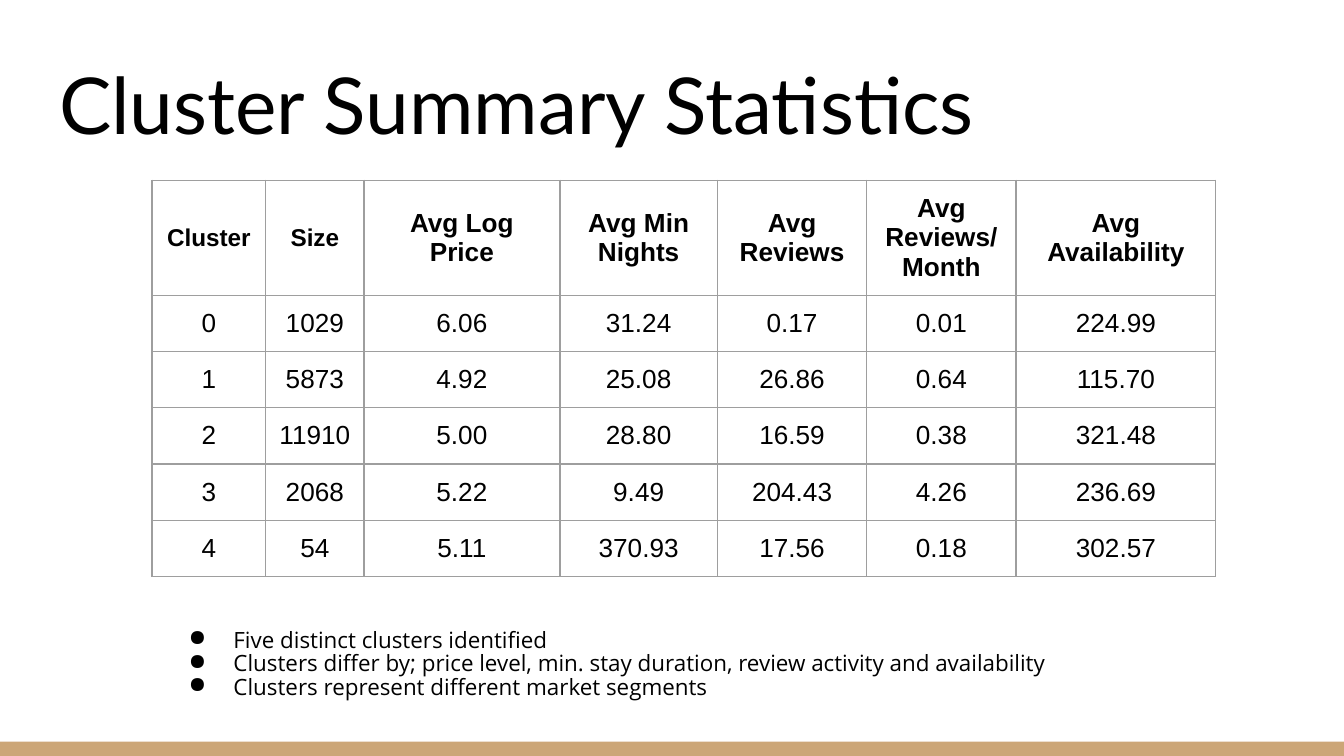
from lxml.etree import SubElement
from pptx import Presentation
from pptx.dml.color import RGBColor
from pptx.enum.shapes import MSO_SHAPE
from pptx.enum.text import MSO_ANCHOR, MSO_AUTO_SIZE, PP_ALIGN
from pptx.oxml.ns import qn
from pptx.util import Pt

BLACK = RGBColor(0x00, 0x00, 0x00)
GRAY = RGBColor(0x9E, 0x9E, 0x9E)
TAN = RGBColor(0xCC, 0xA6, 0x77)

WIDE, HIGH = 720, 405
PAD = 7.2
COLS = [61, 52.6, 105, 84.4, 80, 80, 107]
HEADS = ["Cluster", "Size", "Avg Log Price", "Avg Min Nights",
         "Avg Reviews", "Avg Reviews/Month", "Avg Availability"]
STATS = [
    ["0", "1029", "6.06", "31.24", "0.17", "0.01", "224.99"],
    ["1", "5873", "4.92", "25.08", "26.86", "0.64", "115.70"],
    ["2", "11910", "5.00", "28.80", "16.59", "0.38", "321.48"],
    ["3", "2068", "5.22", "9.49", "204.43", "4.26", "236.69"],
    ["4", "54", "5.11", "370.93", "17.56", "0.18", "302.57"],
]
NOTES = [
    "Five distinct clusters identified",
    "Clusters differ by; price level, min. stay duration, review activity and availability",
    "Clusters represent different market segments",
]


class Deck:
    def __init__(self, slide):
        self.slide = slide
        self.head = "Lato"
        self.grid = "Arial"
        self.body = "Open Sans"
        self.ink = BLACK

    def style(self, para, name, size, bold=False):
        font = para.font
        font.name, font.size, font.bold = name, Pt(size), bold
        font.color.rgb = self.ink

    def inset(self, box):
        box.margin_left = box.margin_right = Pt(PAD)
        box.margin_top = box.margin_bottom = Pt(PAD)

    def bar(self, x, y, w, h, fill):
        shape = self.slide.shapes.add_shape(
            MSO_SHAPE.RECTANGLE, Pt(x), Pt(y), Pt(w), Pt(h))
        shape.shadow.inherit = False
        shape.fill.solid()
        shape.fill.fore_color.rgb = fill
        shape.line.fill.background()

    def title(self, text, x, y, w, h):
        shape = self.slide.shapes.title
        shape.left, shape.top, shape.width, shape.height = Pt(x), Pt(y), Pt(w), Pt(h)
        frame = shape.text_frame
        frame.text = text
        frame.auto_size = MSO_AUTO_SIZE.NONE
        frame.vertical_anchor = MSO_ANCHOR.BOTTOM
        self.inset(frame)
        para = frame.paragraphs[0]
        para.alignment = PP_ALIGN.LEFT
        self.style(para, self.head, 42)

    def edges(self, cell, color, width):
        props = cell._tc.get_or_add_tcPr()
        for spot, side in enumerate(("a:lnL", "a:lnR", "a:lnT", "a:lnB")):
            line = props.makeelement(qn(side), {"w": str(Pt(width))})
            fill = SubElement(line, qn("a:solidFill"))
            SubElement(fill, qn("a:srgbClr"), val=str(color))
            props.insert(spot, line)

    def cell(self, cell, text, size, bold, anchor):
        cell.text = text
        cell.fill.background()
        cell.vertical_anchor = anchor
        self.inset(cell)
        self.edges(cell, GRAY, 0.75)
        para = cell.text_frame.paragraphs[0]
        para.alignment = PP_ALIGN.CENTER
        self.style(para, self.grid, size, bold)

    def table(self, heads, rows, x, y, cols, high):
        count = len(rows) + 1
        table = self.slide.shapes.add_table(
            count, len(cols), Pt(x), Pt(y), Pt(sum(cols)), Pt(high * count)).table
        table.first_row = table.horz_banding = False
        for col, width in zip(table.columns, cols):
            col.width = Pt(width)
        for row in table.rows:
            row.height = Pt(high)
        for c, text in enumerate(heads):
            self.cell(table.cell(0, c), text, 13 if c < 2 else 14, True, MSO_ANCHOR.MIDDLE)
        for r, row in enumerate(rows, 1):
            for c, text in enumerate(row):
                self.cell(table.cell(r, c), text, 14, False, MSO_ANCHOR.TOP)

    def bullets(self, lines, x, y, w, h):
        frame = self.slide.shapes.add_textbox(Pt(x), Pt(y), Pt(w), Pt(h)).text_frame
        frame.word_wrap = True
        self.inset(frame)
        for spot, text in enumerate(lines):
            para = frame.add_paragraph() if spot else frame.paragraphs[0]
            para.text = text
            para.line_spacing = 0.88
            props = para._p.get_or_add_pPr()
            props.set("marL", str(Pt(36)))
            props.set("indent", str(Pt(-24)))
            tint = SubElement(props, qn("a:buClr"))
            SubElement(tint, qn("a:srgbClr"), val=str(self.ink))
            SubElement(props, qn("a:buChar"), char="●")
            self.style(para, self.body, 12)


def main():
    show = Presentation()
    show.slide_width, show.slide_height = Pt(WIDE), Pt(HIGH)
    deck = Deck(show.slides.add_slide(show.slide_layouts[5]))
    deck.bar(0, 397.4, WIDE, 7.6, TAN)
    deck.title("Cluster Summary Statistics", 24.5, 22.4, 671, 65.5)
    deck.table(HEADS, STATS, 81.4, 96.5, COLS, 30)
    deck.bullets(NOTES, 82, 329.8, 570, 65.5)
    show.save("out.pptx")


if __name__ == "__main__":
    main()
